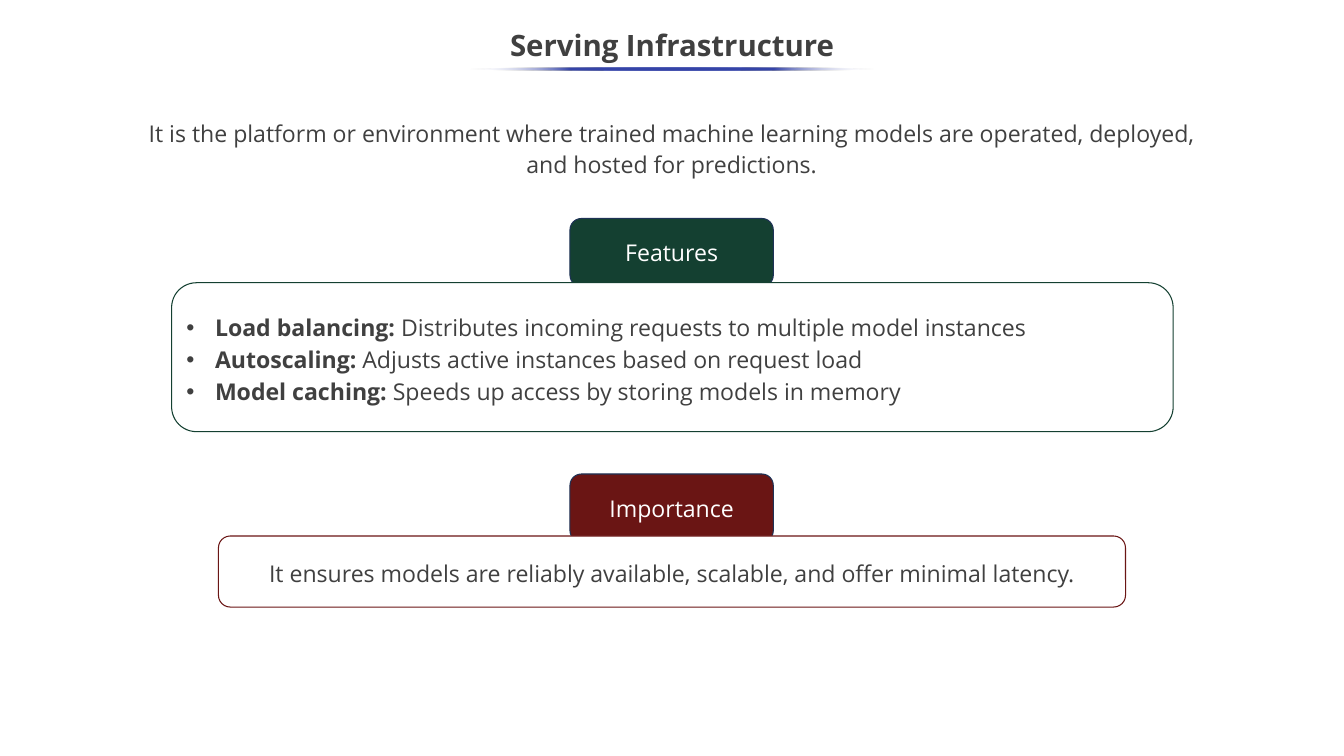
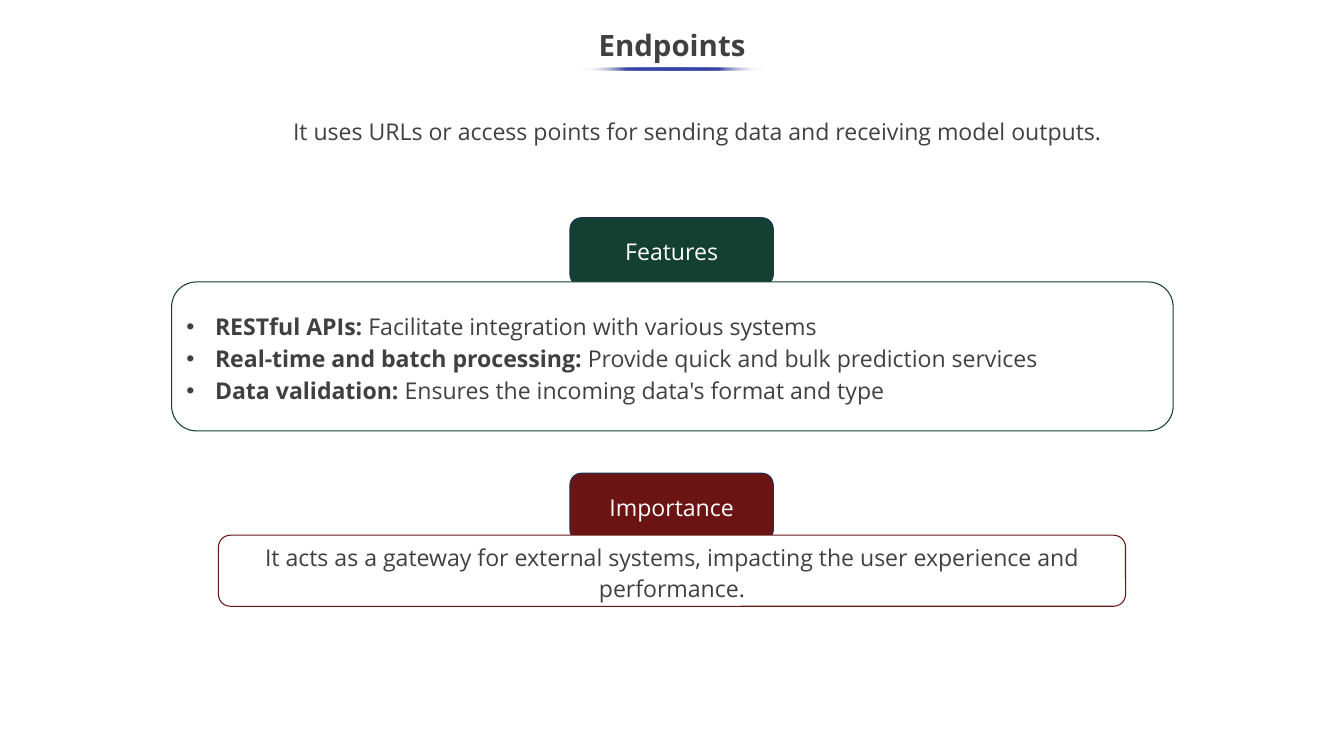
from lxml import etree
from pptx import Presentation
from pptx import util as u
from pptx.dml.color import RGBColor
from pptx.enum import shapes, text
from pptx.oxml.ns import qn

PX = 9144  # one px is a hundredth of an inch
FONT = "Open Sans"
COLORS = {
    "text": "404040",
    "white": "FFFFFF",
    "green": "144031",
    "red": "6A1514",
    "tab_line": "1E3256",
    "underline": "3645A9",
}
UNDERLINE_STOPS = [(0, "white", 0), (25, "underline", 100), (50, "underline", 100),
                   (75, "underline", 100), (100, "white", 0)]
SLIDES = [
    {
        "title": "Serving Infrastructure",
        "underline": (621, 536),
        "intro": "It is the platform or environment where trained machine learning models "
                 "are operated, deployed, and hosted for predictions.",
        "intro_box": (176, 147, 1425, 93),
        "top": 289,
        "features": [
            ("Load balancing:", "Distributes incoming requests to multiple model instances"),
            ("Autoscaling:", "Adjusts active instances based on request load"),
            ("Model caching:", "Speeds up access by storing models in memory"),
        ],
        "importance": "It ensures models are reliably available, scalable, "
                      "and offer minimal latency.",
    },
    {
        "title": "Endpoints",
        "underline": (768, 243),
        "intro": "It uses URLs or access points for sending data and receiving model outputs.",
        "intro_box": (356, 145, 1133, 50),
        "top": 288,
        "features": [
            ("RESTful APIs:", "Facilitate integration with various systems"),
            ("Real-time and batch processing:", "Provide quick and bulk prediction services"),
            ("Data validation:", "Ensures the incoming data's format and type"),
        ],
        "importance": "It acts as a gateway for external systems, impacting "
                      "the user experience and performance.",
    },
]


def format_paragraph(paragraph, color="text", size=22, spacing=1.15,
                     align=text.PP_ALIGN.CENTER):
    paragraph.alignment = align
    paragraph.line_spacing = spacing
    paragraph.font.name = FONT
    paragraph.font.size = u.Pt(size)
    paragraph.font.color.rgb = RGBColor.from_string(COLORS[color])


def add_rounded_box(slide, box, fill, line):
    shape = slide.shapes.add_shape(shapes.MSO_SHAPE.ROUNDED_RECTANGLE,
                                   *(value * PX for value in box))
    shape.shadow.inherit = False
    shape.fill.solid()
    shape.fill.fore_color.rgb = RGBColor.from_string(COLORS[fill])
    shape.line.color.rgb = RGBColor.from_string(COLORS[line])
    shape.line.width = u.Pt(1)
    shape.text_frame.word_wrap = True
    shape.text_frame.vertical_anchor = text.MSO_ANCHOR.MIDDLE
    return shape


presentation = Presentation()
presentation.slide_width = 1778 * PX
presentation.slide_height = 1000 * PX
title_only = presentation.slide_layouts[5]

for content in SLIDES:
    slide = presentation.slides.add_slide(title_only)

    title = slide.shapes.title
    title.left, title.top, title.width, title.height = (
        value * PX for value in (-1, 25, 1780, 75))
    title.text_frame.text = content["title"]
    title.text_frame.auto_size = text.MSO_AUTO_SIZE.NONE
    title.text_frame.vertical_anchor = text.MSO_ANCHOR.MIDDLE
    format_paragraph(title.text_frame.paragraphs[0], size=28, spacing=0.9)
    title.text_frame.paragraphs[0].font.bold = True

    # Title underline that fades out at both ends
    left, width = content["underline"]
    underline = slide.shapes.add_shape(shapes.MSO_SHAPE.OVAL,
                                       left * PX, 89 * PX, width * PX, 4 * PX)
    underline.shadow.inherit = False
    underline.line.fill.background()
    underline.fill.gradient()
    underline.fill.gradient_angle = 180
    stops = underline.element.spPr.find(qn("a:gradFill")).find(qn("a:gsLst"))
    stops.clear()
    for position, color, opacity in UNDERLINE_STOPS:
        stop = etree.SubElement(stops, qn("a:gs"), pos=str(position * 1000))
        stop_color = etree.SubElement(stop, qn("a:srgbClr"), val=COLORS[color])
        etree.SubElement(stop_color, qn("a:alpha"), val=str(opacity * 1000))

    intro = slide.shapes.add_textbox(*(value * PX for value in content["intro_box"]))
    intro.text_frame.word_wrap = True
    intro.text_frame.auto_size = text.MSO_AUTO_SIZE.SHAPE_TO_FIT_TEXT
    intro.text_frame.text = content["intro"]
    format_paragraph(intro.text_frame.paragraphs[0])

    # Each panel covers the lower edge of its tab
    top = content["top"]
    panels = []
    for label, color, tab_top, panel_box in [
        ("Features", "green", top, (227, top + 85, 1325, 197)),
        ("Importance", "red", top + 338, (289, top + 420, 1200, 94)),
    ]:
        tab = add_rounded_box(slide, (754, tab_top, 269, 90), color, "tab_line")
        tab.text_frame.text = label
        format_paragraph(tab.text_frame.paragraphs[0], color="white", spacing=1.0)
        panels.append(add_rounded_box(slide, panel_box, "white", color))
    features, importance = panels

    for index, (term, description) in enumerate(content["features"]):
        frame = features.text_frame
        paragraph = frame.add_paragraph() if index else frame.paragraphs[0]
        properties = paragraph._p.get_or_add_pPr()
        properties.set("marL", str(38 * PX))
        properties.set("indent", str(-38 * PX))
        etree.SubElement(properties, qn("a:buFont"), typeface="Arial")
        etree.SubElement(properties, qn("a:buChar"), char="•")
        format_paragraph(paragraph, align=text.PP_ALIGN.LEFT)
        term_run = paragraph.add_run()
        term_run.text = term + " "
        term_run.font.bold = True
        paragraph.add_run().text = description

    importance.text_frame.text = content["importance"]
    format_paragraph(importance.text_frame.paragraphs[0])

presentation.save("out.pptx")
